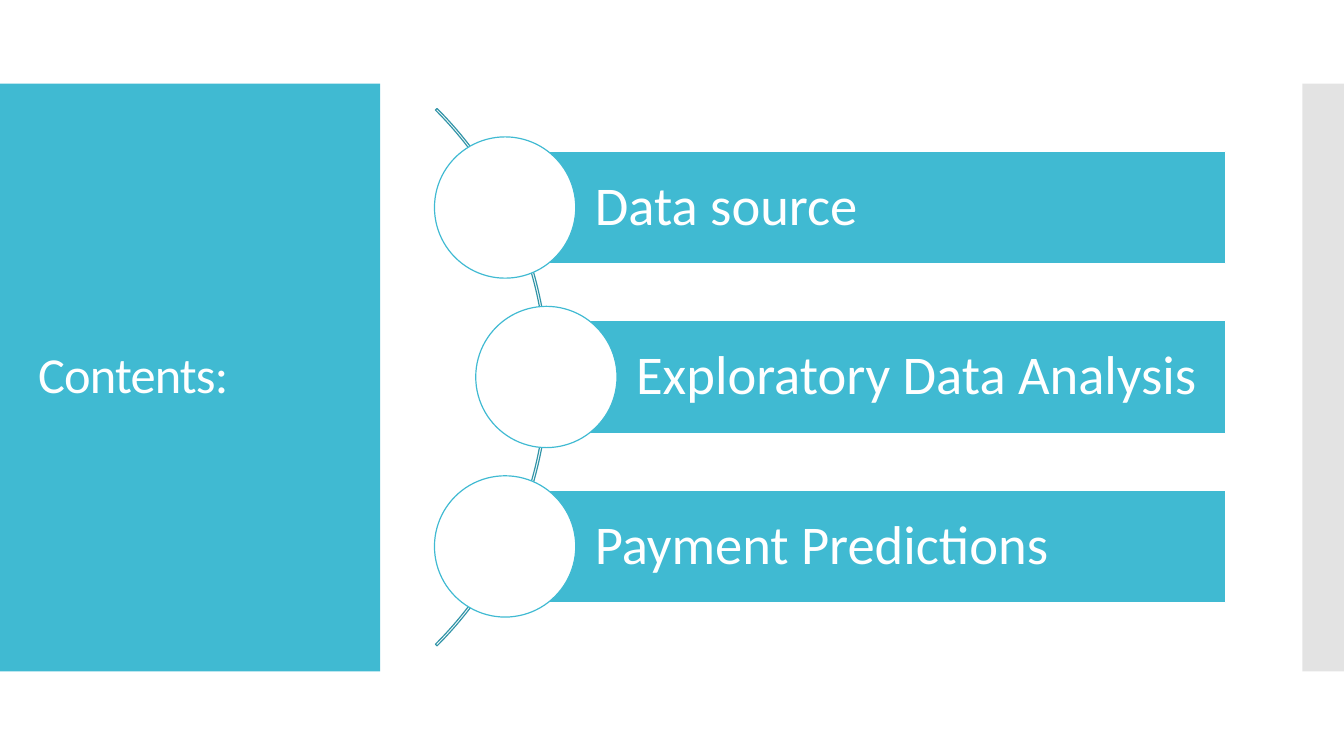
from dataclasses import dataclass

from lxml.etree import SubElement
from pptx import Presentation
from pptx.dml.color import RGBColor
from pptx.enum.shapes import MSO_SHAPE
from pptx.enum.text import MSO_ANCHOR, PP_ALIGN
from pptx.oxml.ns import qn
from pptx.util import Cm, Pt


@dataclass(frozen=True)
class Theme:
    """Colours, font and sizes of the slide."""
    teal: str = "40BAD2"
    deep: str = "3395A8"
    grey: str = "C8C8C8"
    white: str = "FFFFFF"
    font: str = "Calibri"
    head: float = 36
    item: float = 39
    line: float = 0.85


THEME = Theme()
ITEMS = ["Data source", "Exploratory Data Analysis", "Payment Predictions"]
MID = 9.5
STEP = 4.27
BAR = 2.84
DOT = 3.56
RIGHT = 30.89


def add_shape(slide, kind, box, fill=None, line=None):
    """Add a preset shape with an optional fill and outline."""
    shape = slide.shapes.add_shape(kind, *map(Cm, box))
    shape.shadow.inherit = False
    if fill:
        shape.fill.solid()
        shape.fill.fore_color.rgb = RGBColor.from_string(fill)
    else:
        shape.fill.background()
    if line:
        shape.line.color.rgb = RGBColor.from_string(line)
        shape.line.width = Pt(THEME.line)
    else:
        shape.line.fill.background()
    return shape


def set_text(shape, text, size, pads):
    """Write one left-aligned white line, centred in height."""
    frame = shape.text_frame
    frame.text = text
    frame.word_wrap = True
    frame.vertical_anchor = MSO_ANCHOR.MIDDLE
    frame.margin_left, frame.margin_top, frame.margin_right, frame.margin_bottom = map(Cm, pads)
    para = frame.paragraphs[0]
    para.alignment = PP_ALIGN.LEFT
    para.line_spacing = 0.9
    run = para.runs[0]
    run.font.name = THEME.font
    run.font.size = Pt(size)
    run.font.color.rgb = RGBColor.from_string(THEME.white)
    return run


def add_sides(slide):
    """Add the title panel and the pale strip at the right edge."""
    add_shape(slide, MSO_SHAPE.RECTANGLE, (0, 2.11, 9.58, 14.81), THEME.teal)
    strip = add_shape(slide, MSO_SHAPE.RECTANGLE, (32.82, 2.11, 1.05, 14.81), THEME.grey)
    tint = strip.element.spPr.find(f"{qn('a:solidFill')}/{qn('a:srgbClr')}")
    SubElement(tint, qn("a:alpha")).set("val", "50000")


def add_title(slide, text):
    """Add the heading with slightly tight letters."""
    box = slide.shapes.add_textbox(*map(Cm, (0.71, 3.12, 8.18, 12.78)))
    run = set_text(box, text, THEME.head, (0.25, 0.13, 0.25, 0.13))
    run.font._element.set("spc", "-60")


def add_arc(slide):
    """Add the thin arc that runs behind the circles."""
    arc = add_shape(slide, MSO_SHAPE.BLOCK_ARC, (-5.33, -0.07, 19.15, 19.15), line=THEME.deep)
    for index, value in enumerate((189, 27, 0.3 / 100)):
        arc.adjustments[index] = value


def add_item(slide, text, left, mid):
    """Add a bar with its text and the circle over its left end."""
    hub = left + DOT / 2
    bar = add_shape(slide, MSO_SHAPE.RECTANGLE, (hub, mid - BAR / 2, RIGHT - hub, BAR),
                    THEME.teal, THEME.white)
    set_text(bar, text, THEME.item, (2.26, 0.28, 0.28, 0.28))
    add_shape(slide, MSO_SHAPE.OVAL, (left, mid - DOT / 2, DOT, DOT), THEME.white, THEME.teal)


def main():
    """Build and save the contents slide."""
    deck = Presentation()
    deck.slide_width, deck.slide_height = Cm(33.87), Cm(19.05)
    slide = deck.slides.add_slide(deck.slide_layouts[6])
    add_sides(slide)
    add_title(slide, "Contents:")
    add_arc(slide)
    for index, text in enumerate(ITEMS):
        row = index - 1
        add_item(slide, text, 11.99 - 1.04 * abs(row), MID + row * STEP)
    deck.save("out.pptx")


if __name__ == "__main__":
    main()
